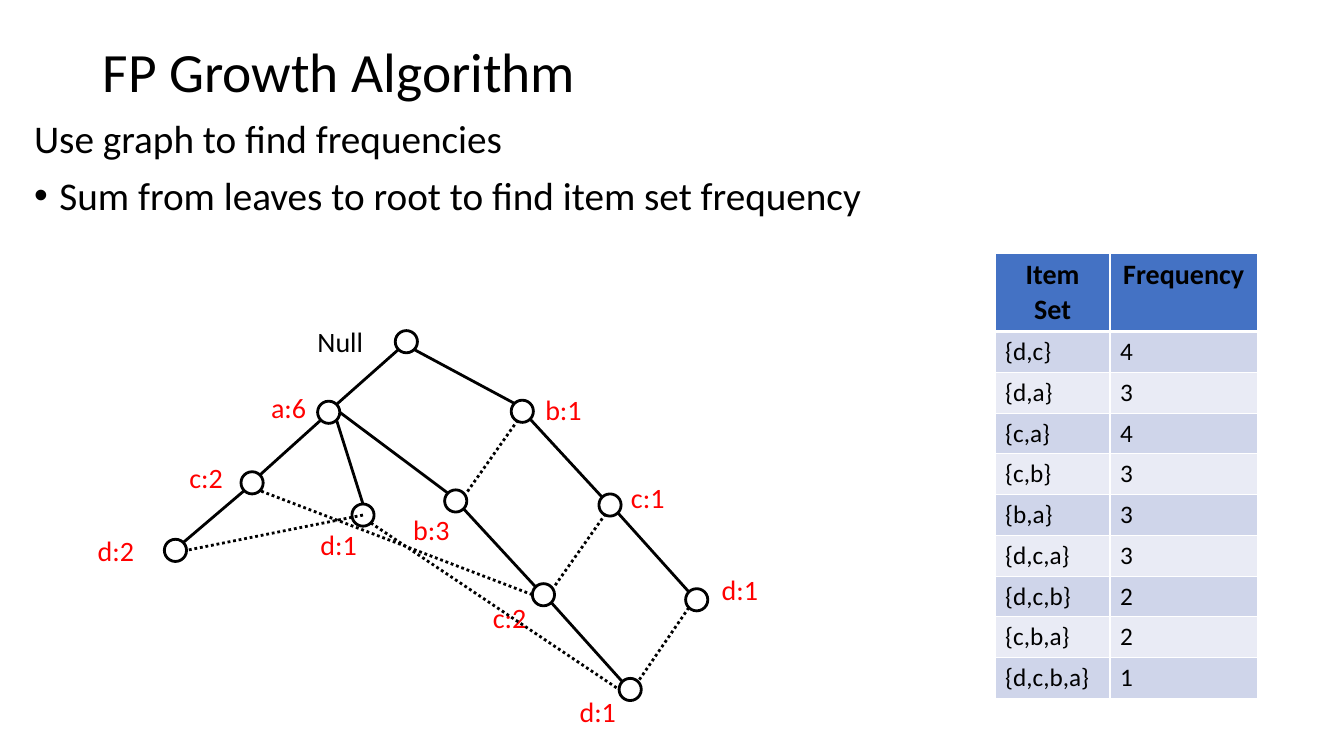
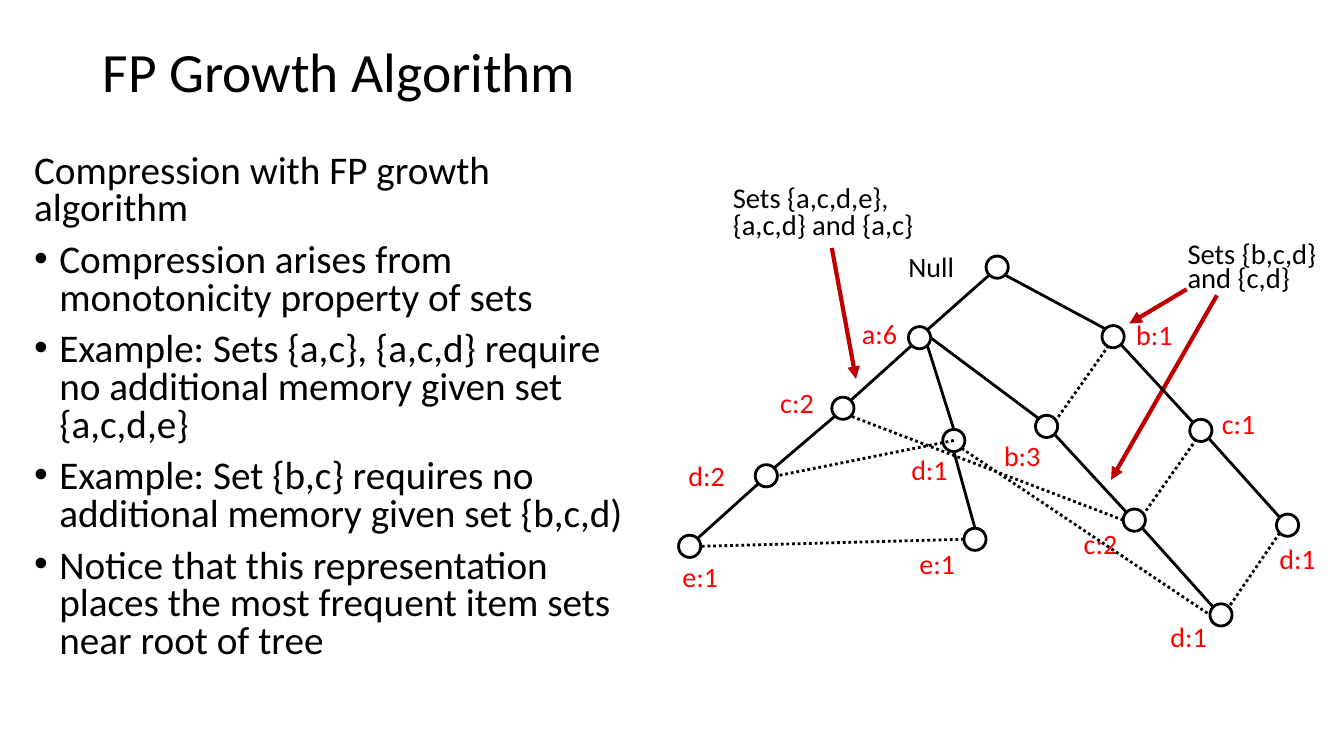
from lxml import etree
from pptx import Presentation
from pptx.dml.color import RGBColor
from pptx.enum.dml import MSO_LINE_DASH_STYLE as Dash
from pptx.enum.shapes import MSO_CONNECTOR_TYPE as Connector, MSO_SHAPE as Shape
from pptx.enum.text import MSO_ANCHOR as Anchor, PP_ALIGN as Align
from pptx.oxml.ns import qn
from pptx.util import Inches, Pt

BLACK = RGBColor(0x00, 0x00, 0x00)
WHITE = RGBColor(0xFF, 0xFF, 0xFF)
RED = RGBColor(0xFF, 0x00, 0x00)
CRIMSON = RGBColor(0xC0, 0x00, 0x00)
HEADER_BLUE = RGBColor(0x44, 0x72, 0xC4)
BAND_DARK = RGBColor(0xCF, 0xD5, 0xEA)
BAND_LIGHT = RGBColor(0xE9, 0xEB, 0xF5)
FONT = "Calibri"
TITLE = "FP Growth Algorithm"
NODE_SIZE = 0.22
DIAGONAL = 0.71
HEADER_HEIGHT = 0.78
TABLE_HEIGHT = 4.42

# Offsets, in radii, from a node's centre to the points where lines attach
SITES = {
    "C": (0, 0), "N": (0, -1), "S": (0, 1), "W": (-1, 0), "E": (1, 0),
    "NW": (-DIAGONAL, -DIAGONAL), "NE": (DIAGONAL, -DIAGONAL),
    "SW": (-DIAGONAL, DIAGONAL), "SE": (DIAGONAL, DIAGONAL),
    "SSW": (-0.4, 0.8), "ENE": (0.95, -0.7),
}

# Node: left, top, label, label left, label top; keys spell the way from the root
TREE_NODES = {
    "root": (3.92, 3.28, "Null", 3.05, 3.17),
    "a": (3.15, 3.98, "a:6", 2.59, 3.83),
    "ac": (2.39, 4.68, "c:2", 1.78, 4.52),
    "acd": (1.63, 5.35, "d:2", 0.87, 5.24),
    "ad": (3.49, 5, "d:1", 3.08, 5.18),
    "ab": (4.41, 4.86, "b:3", 4, 5.04),
    "abc": (5.28, 5.79, "c:2", 4.79, 5.91),
    "abcd": (6.14, 6.73, "d:1", 5.65, 6.84),
    "b": (5.07, 3.97, "b:1", 5.31, 3.84),
    "bc": (5.94, 4.9, "c:1", 6.16, 4.72),
    "bcd": (6.8, 5.84, "d:1", 7.06, 5.63),
}
BRANCHES = [
    ("root", "SW", "a", "NE"), ("a", "SW", "ac", "NE"), ("ac", "SW", "acd", "NE"),
    ("a", "SE", "ad", "N"), ("a", "E", "ab", "NW"), ("ab", "SE", "abc", "NW"),
    ("abc", "SE", "abcd", "NW"), ("root", "SE", "b", "NW"),
    ("b", "SE", "bc", "NW"), ("bc", "SE", "bcd", "NW"),
]
ITEM_LINKS = [
    ("ad", "C", "acd", "E"), ("abc", "W", "ac", "SE"), ("ad", "SE", "abcd", "W"),
    ("bcd", "SW", "abcd", "NE"), ("bc", "SSW", "abc", "ENE"), ("b", "SSW", "ab", "ENE"),
]
LARGE_NODES = TREE_NODES | {
    "bcd": (6.8, 5.84, "d:1", 6.73, 6.06),
    "acde": (0.87, 6.05, "e:1", 0.81, 6.24),
    "ade": (3.7, 5.98, "e:1", 3.16, 6.11),
}
LARGE_BRANCHES = BRANCHES + [("acd", "SW", "acde", "NE"), ("ad", "S", "ade", "N")]
LARGE_LINKS = ITEM_LINKS + [("ade", "W", "acde", "E")]

FREQUENCIES = [
    ("Item Set", "Frequency"), ("{d,c}", "4"), ("{d,a}", "3"), ("{c,a}", "4"),
    ("{c,b}", "3"), ("{b,a}", "3"), ("{d,c,a}", "3"), ("{d,c,b}", "2"),
    ("{c,b,a}", "2"), ("{d,c,b,a}", "1"),
]


def add_text(slide, box, lines, size, color=BLACK, spacing=1.0, before=0, anchor=Anchor.TOP):
    """Add a text box; every line after the first is a bullet."""
    shape = slide.shapes.add_textbox(*map(Inches, box))
    frame = shape.text_frame
    frame.word_wrap = True
    frame.vertical_anchor = anchor
    for index, line in enumerate(lines):
        paragraph = frame.add_paragraph() if index else frame.paragraphs[0]
        paragraph.line_spacing = spacing
        paragraph.space_before = Pt(before)
        if index:
            properties = paragraph._p.get_or_add_pPr()
            properties.set("marL", str(Inches(0.25)))
            properties.set("indent", str(-Inches(0.25)))
            etree.SubElement(properties, qn("a:buFont"), typeface="Arial")
            etree.SubElement(properties, qn("a:buChar"), char="•")
        run = paragraph.add_run()
        run.text = line
        run.font.name = FONT
        run.font.size = Pt(size)
        run.font.color.rgb = color


def add_line(slide, start, end, color=BLACK, width=2, dash=None, arrow=False):
    line = slide.shapes.add_connector(Connector.STRAIGHT, *map(Inches, (*start, *end)))
    line.line.color.rgb = color
    line.line.width = Pt(width)
    if dash:
        line.line.dash_style = dash
    if arrow:
        etree.SubElement(line.line._get_or_add_ln(), qn("a:tailEnd"), type="triangle")
    etree.SubElement(line._element.spPr, qn("a:effectLst"))


presentation = Presentation()
presentation.slide_width = Inches(13.33)
presentation.slide_height = Inches(7.5)
blank = presentation.slide_layouts[6]
frequency_slide = presentation.slides.add_slide(blank)
compression_slide = presentation.slides.add_slide(blank)

for slide in (frequency_slide, compression_slide):
    add_text(slide, (0.92, 0.4, 11.5, 0.68), [TITLE], 39.6, spacing=0.9, anchor=Anchor.MIDDLE)

# Body text
add_text(frequency_slide, (0.24, 1.14, 8.81, 1.69), [
    "Use graph to find frequencies",
    "Sum from leaves to root to find item set frequency",
], 28, spacing=0.9, before=10)
add_text(compression_slide, (0.24, 1.48, 6.2, 5.49), [
    "Compression with FP growth algorithm",
    "Compression arises from monotonicity property of sets",
    "Example: Sets {a,c}, {a,c,d} require no additional memory given set {a,c,d,e}",
    "Example: Set {b,c} requires no additional memory given set {b,c,d)",
    "Notice that this representation places the most frequent item sets near root of tree",
], 28, spacing=0.8, before=10)

# Frequency table
table = frequency_slide.shapes.add_table(
    len(FREQUENCIES), 2, Inches(9.87), Inches(2.51), Inches(2.6), Inches(TABLE_HEIGHT)).table
table.columns[0].width = Inches(1.14)
table.columns[1].width = Inches(1.46)
row_height = (TABLE_HEIGHT - HEADER_HEIGHT) / (len(FREQUENCIES) - 1)
for row, values in enumerate(FREQUENCIES):
    table.rows[row].height = Inches(row_height if row else HEADER_HEIGHT)
    for column, value in enumerate(values):
        cell = table.cell(row, column)
        cell.fill.solid()
        cell.fill.fore_color.rgb = (BAND_DARK if row % 2 else BAND_LIGHT) if row else HEADER_BLUE
        for position, side in enumerate(("lnL", "lnR", "lnT", "lnB")):
            below_header = (row, side) in ((0, "lnB"), (1, "lnT"))
            border = etree.Element(qn(f"a:{side}"), w=str(Pt(3 if below_header else 1)))
            border_fill = etree.SubElement(border, qn("a:solidFill"))
            etree.SubElement(border_fill, qn("a:srgbClr"), val=str(WHITE))
            cell._tc.get_or_add_tcPr().insert(position, border)
        paragraph = cell.text_frame.paragraphs[0]
        paragraph.alignment = Align.LEFT if row else Align.CENTER
        run = paragraph.add_run()
        run.text = value
        run.font.name = FONT
        run.font.size = Pt(18 if row else 20)
        run.font.bold = row == 0
        run.font.color.rgb = BLACK

# Arrows from the notes lie behind the tree
for start, end in [
    ((8.25, 2.46), (8.49, 3.76)),
    ((12.07, 2.93), (11.02, 4.76)),
    ((11.77, 2.87), (11.2, 3.21)),
]:
    add_line(compression_slide, start, end, CRIMSON, 3, arrow=True)

# The same tree on both slides, moved and extended on the second
for slide, shift_x, shift_y, nodes, branches, links in [
    (frequency_slide, 0, 0, TREE_NODES, BRANCHES, ITEM_LINKS),
    (compression_slide, 5.86, -0.74, LARGE_NODES, LARGE_BRANCHES, LARGE_LINKS),
]:
    for left, top, label, label_left, label_top in nodes.values():
        node = slide.shapes.add_shape(
            Shape.OVAL, Inches(left + shift_x), Inches(top + shift_y),
            Inches(NODE_SIZE), Inches(NODE_SIZE))
        node.shadow.inherit = False
        node.fill.background()
        node.line.color.rgb = BLACK
        node.line.width = Pt(2)
        is_root = label == "Null"
        add_text(slide, (label_left + shift_x, label_top + shift_y, 0.71 if is_root else 0.6, 0.44),
                 [label], 20, BLACK if is_root else RED)
    for edges, dash in ((branches, None), (links, Dash.ROUND_DOT)):
        for first, first_site, second, second_site in edges:
            ends = []
            for name, site in ((first, first_site), (second, second_site)):
                left, top = nodes[name][:2]
                across, down = SITES[site]
                ends.append((left + shift_x + NODE_SIZE / 2 * (1 + across),
                             top + shift_y + NODE_SIZE / 2 * (1 + down)))
            add_line(slide, *ends, dash=dash)

# Notes on the tree
add_text(compression_slide, (11.68, 2.38, 1.7, 0.6), ["Sets {b,c,d} and {c,d}"],
         20.4, spacing=0.7, before=10)
add_text(compression_slide, (7.17, 1.8, 2.03, 0.87), ["Sets {a,c,d,e}, {a,c,d} and {a,c}"],
         20.4, spacing=0.8, before=10)

presentation.save("out.pptx")
